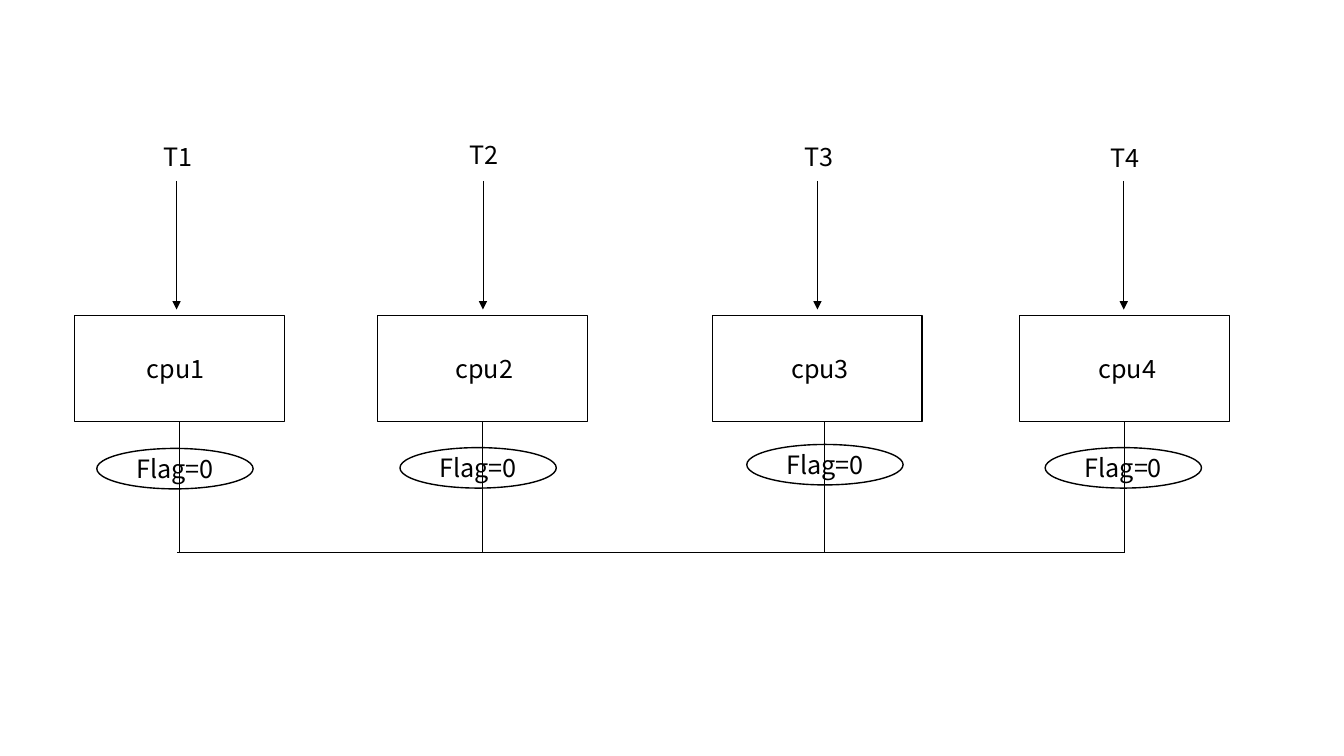
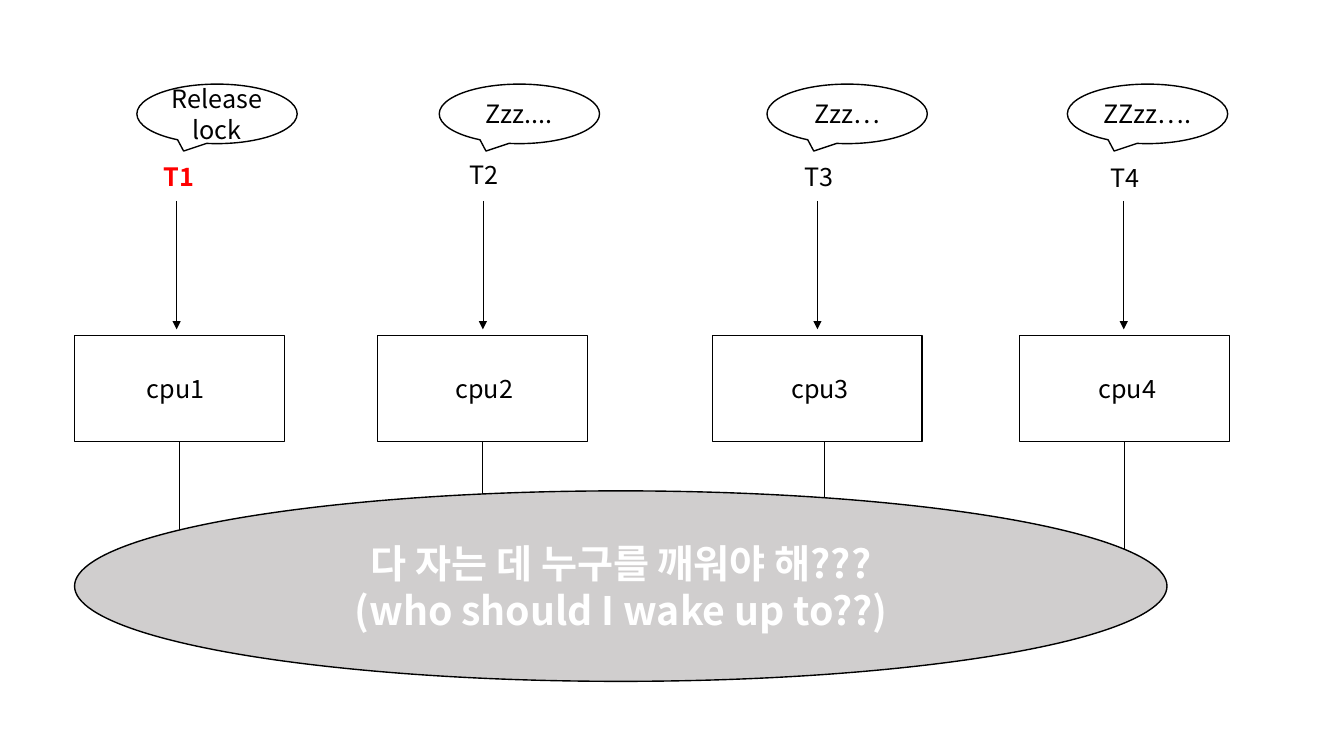
from dataclasses import dataclass

from lxml.etree import SubElement
from pptx import Presentation
from pptx.dml.color import RGBColor
from pptx.enum.shapes import MSO_CONNECTOR as Link, MSO_SHAPE as Preset
from pptx.enum.text import MSO_ANCHOR as Anchor, MSO_AUTO_SIZE as Fit, PP_ALIGN as Align
from pptx.oxml.ns import qn
from pptx.util import Cm, Pt


@dataclass(frozen=True)
class Theme:
    font: str = "Noto Sans CJK KR"
    ink: str = "000000"
    paper: str = "FFFFFF"
    alert: str = "FF0000"
    shade: str = "D0CECE"
    body: int = 18
    headline: int = 28
    outline: float = 1
    wire: float = 0.5


@dataclass(frozen=True)
class Core:
    number: int
    box: float
    name: float
    arrow: float
    thread_rise: float
    flag: float
    flag_drop: float
    callout: float
    wire: float = None


THEME = Theme()
BOX_W, BOX_H = 5.29, 2.67
BUS_DROP = 5.97
CORES = [
    Core(1, 1.88, 3.45, 4.45, 4.52, 2.44, 3.35, 3.45),
    Core(2, 9.52, 11.23, 12.17, 4.57, 10.08, 3.33, 11.07),
    Core(3, 17.95, 19.69, 20.6, 4.52, 18.82, 3.25, 19.33, wire=20.78),
    Core(4, 25.7, 27.43, 28.32, 4.49, 26.34, 3.33, 26.9),
]


class Deck:
    def __init__(self, theme):
        self.theme = theme
        self.show = Presentation()
        self.show.slide_width, self.show.slide_height = Cm(33.87), Cm(19.05)
        self.slide = None

    def new_slide(self):
        self.slide = self.show.slides.add_slide(self.show.slide_layouts[6])

    def set_text(self, frame, text, align, color=None, **style):
        style = {"name": self.theme.font, "size": Pt(self.theme.body), **style}
        frame.text = text
        for paragraph in frame.paragraphs:
            paragraph.alignment = align
            for run in paragraph.runs:
                for key, value in style.items():
                    setattr(run.font, key, value)
                run.font.color.rgb = RGBColor.from_string(color or self.theme.ink)
                SubElement(run.font._element, qn("a:ea"), typeface=self.theme.font)

    def label(self, x, y, width, text, **style):
        frame = self.slide.shapes.add_textbox(Cm(x), Cm(y), Cm(width), Cm(1.02)).text_frame
        for key, value in {"word_wrap": True, "auto_size": Fit.SHAPE_TO_FIT_TEXT}.items():
            setattr(frame, key, value)
        self.set_text(frame, text, Align.LEFT, **style)

    def shape(self, preset, x, y, width, height, text="", fill=None, **style):
        shape = self.slide.shapes.add_shape(preset, Cm(x), Cm(y), Cm(width), Cm(height))
        shape.shadow.inherit = False
        if fill:
            shape.fill.solid()
            shape.fill.fore_color.rgb = RGBColor.from_string(fill)
        else:
            shape.fill.background()
        shape.line.color.rgb = RGBColor.from_string(self.theme.ink)
        shape.line.width = Pt(self.theme.outline)
        if text:
            shape.text_frame.vertical_anchor = Anchor.MIDDLE
            self.set_text(shape.text_frame, text, Align.CENTER, **style)
        return shape

    def line(self, x1, y1, x2, y2, arrow=False):
        line = self.slide.shapes.add_connector(Link.STRAIGHT, Cm(x1), Cm(y1), Cm(x2), Cm(y2))
        line.line.color.rgb = RGBColor.from_string(self.theme.ink)
        line.line.width = Pt(self.theme.wire)
        properties = line._element.spPr
        if arrow:
            SubElement(properties.find(qn("a:ln")), qn("a:tailEnd"), type="triangle")
        SubElement(properties, qn("a:effectLst"))
        return line

    def core(self, core, top, **thread_style):
        box = self.shape(Preset.RECTANGLE, core.box, top, BOX_W, BOX_H)
        self.label(core.name, top + 0.83, 2.97, f"cpu{core.number}")
        self.line(core.arrow, top - 3.39, core.arrow, top - 0.15, arrow=True)
        self.label(core.arrow - 0.58, top - core.thread_rise, 1.32,
                   f"T{core.number}", **thread_style)
        wire_x = core.wire or core.box + BOX_W / 2
        wire = self.line(wire_x, top + BOX_H, wire_x, top + BUS_DROP)
        if core.wire is None:
            wire.begin_connect(box, 2)

    def bus(self, top):
        self.line(4.47, top + BUS_DROP, 28.35, top + BUS_DROP)


def flags_slide(deck):
    top = 7.95
    deck.new_slide()
    for core in CORES:
        deck.core(core, top)
        deck.shape(Preset.OVAL, core.flag, top + core.flag_drop, 3.94, 1.02, "Flag=0")
    deck.bus(top)


def wake_up_slide(deck):
    top = 8.45
    theme = deck.theme
    thoughts = ["Release lock", "Zzz....", "Zzz…", "ZZzz…."]
    releasing = {"color": theme.alert, "bold": True}
    deck.new_slide()
    for core, thought in zip(CORES, thoughts):
        deck.core(core, top, **(releasing if core.number == 1 else {}))
        deck.shape(Preset.OVAL_CALLOUT, core.callout, 2.12, 4.04, 1.5, thought, fill=theme.paper)
    deck.bus(top)
    deck.shape(Preset.OVAL, 1.88, 12.37, 27.53, 4.8,
               "다 자는 데 누구를 깨워야 해???\n(who should I wake up to??)",
               fill=theme.shade, color=theme.paper, size=Pt(theme.headline), bold=True)


def main():
    deck = Deck(THEME)
    flags_slide(deck)
    wake_up_slide(deck)
    deck.show.save("out.pptx")


if __name__ == "__main__":
    main()
